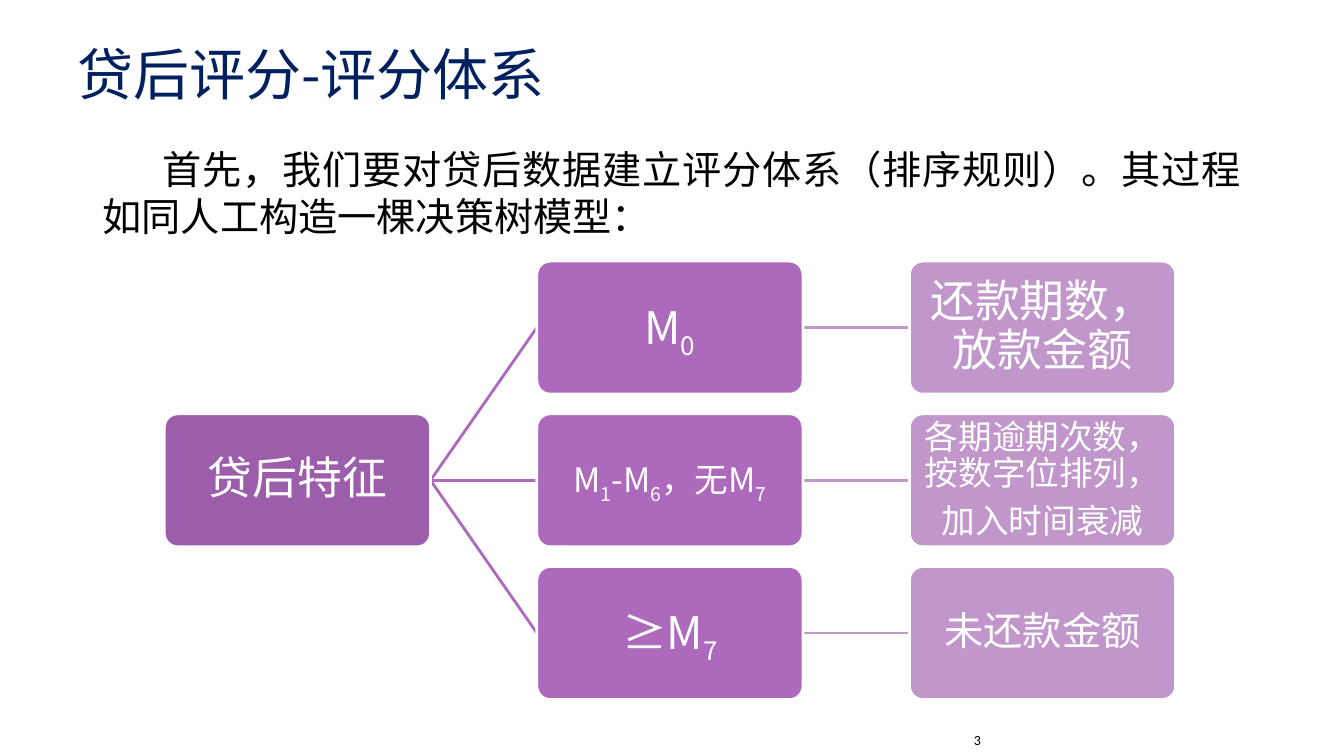
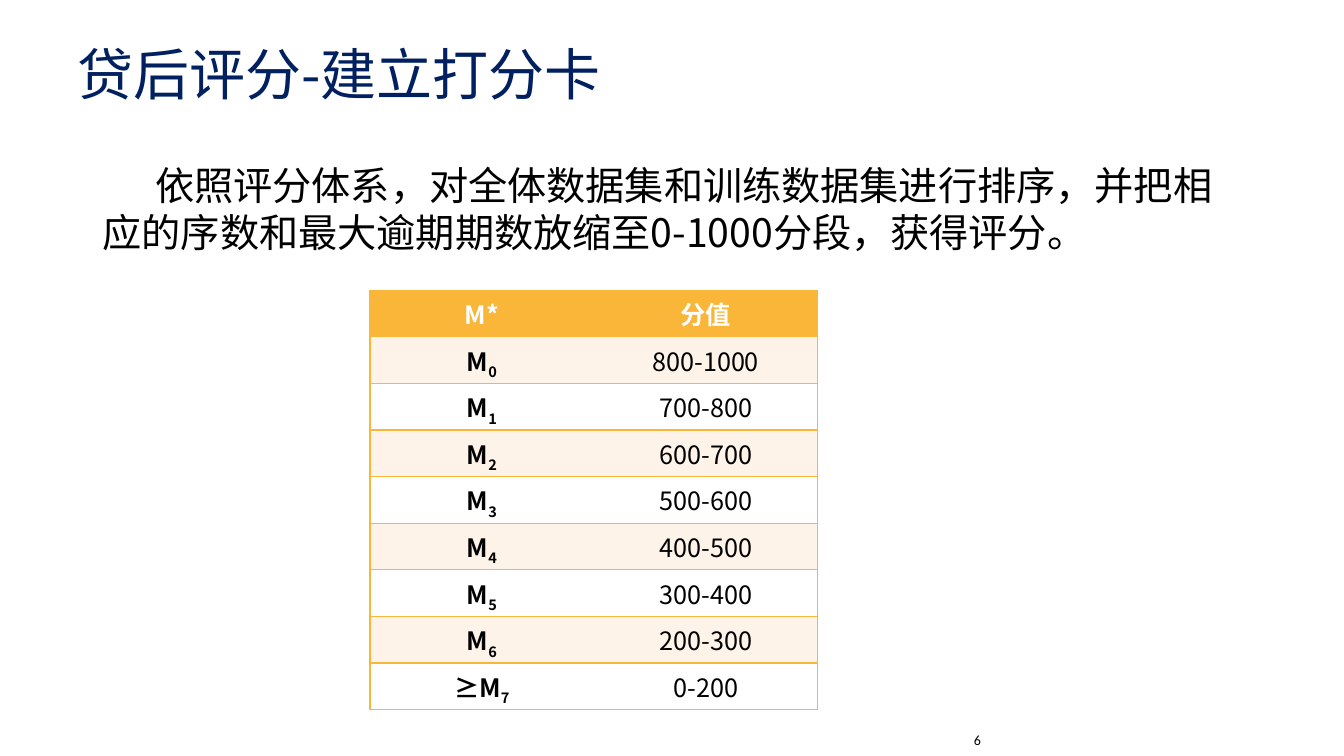
from pptx import Presentation, oxml
from pptx import util as u
from pptx.dml.color import RGBColor
from pptx.enum import shapes, text
from pptx.oxml.ns import qn

NAVY = RGBColor(0x00, 0x20, 0x60)
BLACK = RGBColor(0x00, 0x00, 0x00)
WHITE = RGBColor(0xFF, 0xFF, 0xFF)
ROOT_PURPLE = RGBColor(0x9C, 0x5D, 0xAA)
BRANCH_PURPLE = RGBColor(0xAD, 0x69, 0xBC)
LEAF_PURPLE = RGBColor(0xC0, 0x96, 0xCB)
AMBER = RGBColor(0xF9, 0xB6, 0x39)
CREAM = RGBColor(0xFE, 0xF3, 0xE8)
TITLE_FONT = "Noto Sans CJK SC"
BODY_FONT = "Noto Sans CJK JP"
NUMBER_FONT = "Calibri"

BOX_WIDTH, BOX_HEIGHT = 2.64, 1.32
COLUMN_STEP, ROW_STEP = 3.695, 1.515

# Each branch: label, size, leaf paragraphs, size; "_" lowers the next character
BRANCHES = [
    ("M_0", 32, ["还款期数，放款金额"], 32),
    ("M_1-M_6，无M_7", 24, ["各期逾期次数，按数字位排列，", "加入时间衰减"], 24),
    ("≥M_7", 32, ["未还款金额"], 28),
]
SCORES = [
    ("M*", "分值"),
    ("M_0", "800-1000"),
    ("M_1", "700-800"),
    ("M_2", "600-700"),
    ("M_3", "500-600"),
    ("M_4", "400-500"),
    ("M_5", "300-400"),
    ("M_6", "200-300"),
    ("≥M_7", "0-200"),
]


def format_run(span, size, color, font, bold=False):
    span.font.size = u.Pt(size)
    span.font.color.rgb = color
    span.font.bold = bold
    span.font.name = font
    east_asian = oxml.parse_xml(
        '<a:ea xmlns:a="http://schemas.openxmlformats.org/drawingml/2006/main"/>')
    east_asian.set("typeface", font)
    span._r.get_or_add_rPr().append(east_asian)


def write(para, words, size, color, font=BODY_FONT, bold=False):
    """Fill a paragraph, lowering each character that follows "_"."""
    first, *others = words.split("_")
    pieces = [(first, False)]
    for part in others:
        pieces += [(part[0], True), (part[1:], False)]
    for piece, lowered in pieces:
        if piece:
            span = para.add_run()
            span.text = piece
            format_run(span, size, color, font, bold)
            if lowered:
                span._r.get_or_add_rPr().set("baseline", "-25000")


def add_text(page, left, top, width, height, words, size, font=BODY_FONT):
    box = page.shapes.add_textbox(*map(u.Inches, (left, top, width, height)))
    box.text_frame.word_wrap = True
    para = box.text_frame.paragraphs[0]
    write(para, words, size, BLACK, font)
    return para


def add_page(deck, title, number):
    page = deck.slides.add_slide(deck.slide_layouts[5])
    box = page.shapes.title
    box.left, box.top, box.width, box.height = map(u.Inches, (0.67, 0.3, 9.25, 0.85))
    frame = box.text_frame
    frame.text = title
    frame.auto_size = text.MSO_AUTO_SIZE.NONE
    frame.vertical_anchor = text.MSO_ANCHOR.MIDDLE
    para = frame.paragraphs[0]
    para.alignment = text.PP_ALIGN.LEFT
    format_run(para.runs[0], 40, NAVY, TITLE_FONT)
    add_text(page, 9.56, 7.21, 3.11, 0.21, number, 10, NUMBER_FONT)
    return page


def add_intro(page, top, words, indent, alignment):
    para = add_text(page, 0.92, top, 11.5, 1.04, words, 28)
    para.alignment = alignment
    para._p.get_or_add_pPr().set("indent", str(u.Inches(indent)))


def add_node(page, left, top, lines, size, fill):
    node = page.shapes.add_shape(
        shapes.MSO_SHAPE.ROUNDED_RECTANGLE,
        *map(u.Inches, (left, top, BOX_WIDTH, BOX_HEIGHT)))
    node.adjustments[0] = 0.1
    node.shadow.inherit = False
    node.fill.solid()
    node.fill.fore_color.rgb = fill
    node.line.color.rgb = WHITE
    node.line.width = u.Pt(2)
    frame = node.text_frame
    frame.word_wrap = True
    frame.vertical_anchor = text.MSO_ANCHOR.MIDDLE
    frame.margin_left = frame.margin_right = u.Inches(0.06)
    frame.margin_top = frame.margin_bottom = u.Inches(0.06)
    for index, words in enumerate(lines):
        para = frame.add_paragraph() if index else frame.paragraphs[0]
        para.alignment = text.PP_ALIGN.CENTER
        para.line_spacing = 0.9
        para.space_after = u.Pt(round(size * 0.35, 1))
        write(para, words, size, WHITE)
    return node


def link(page, start, end, color):
    line = page.shapes.add_connector(shapes.MSO_CONNECTOR.STRAIGHT, 0, 0, 0, 0)
    line.begin_connect(start, 3)
    line.end_connect(end, 1)
    line.line.color.rgb = color
    line.line.width = u.Pt(2)
    properties = line._element.spPr
    properties.append(properties.makeelement(qn("a:effectLst"), {}))
    # Lines lie behind the nodes they join
    start._element.addprevious(line._element)


def add_tree(page, left, top):
    root = add_node(page, left, top + ROW_STEP, ["贷后特征"], 32, ROOT_PURPLE)
    for row, (label, label_size, lines, leaf_size) in enumerate(BRANCHES):
        row_top = top + row * ROW_STEP
        branch = add_node(page, left + COLUMN_STEP, row_top,
                          [label], label_size, BRANCH_PURPLE)
        leaf = add_node(page, left + 2 * COLUMN_STEP, row_top,
                        lines, leaf_size, LEAF_PURPLE)
        link(page, root, branch, BRANCH_PURPLE)
        link(page, branch, leaf, LEAF_PURPLE)


def set_border(cell, side, color=None):
    properties = cell._tc.get_or_add_tcPr()
    edge = properties.makeelement(qn("a:" + side), {"w": str(u.Pt(1))})
    if color is None:
        edge.append(edge.makeelement(qn("a:noFill"), {}))
    else:
        fill = edge.makeelement(qn("a:solidFill"), {})
        fill.append(fill.makeelement(qn("a:srgbClr"), {"val": str(color)}))
        edge.append(fill)
    properties.append(edge)


def add_score_table(page, left, top, width, height):
    table = page.shapes.add_table(
        len(SCORES), 2, *map(u.Inches, (left, top, width, height))).table
    table.first_row = table.horz_banding = False
    for row, values in enumerate(SCORES):
        for column, words in enumerate(values):
            cell = table.cell(row, column)
            # Borders come before the fill in the cell's properties
            set_border(cell, "lnL", None if column else AMBER)
            set_border(cell, "lnR", AMBER if column else None)
            set_border(cell, "lnT", AMBER)
            set_border(cell, "lnB", AMBER)
            cell.fill.solid()
            cell.fill.fore_color.rgb = (
                AMBER if row == 0 else CREAM if row % 2 else WHITE)
            para = cell.text_frame.paragraphs[0]
            para.alignment = text.PP_ALIGN.CENTER
            write(para, words, 18, BLACK if row else WHITE,
                  bold=row == 0 or column == 0)


def build_system_page(deck):
    page = add_page(deck, "贷后评分-评分体系", "3")
    add_intro(page, 1.39,
              "首先，我们要对贷后数据建立评分体系（排序规则）。其过程如同人工构造一棵决策树模型：",
              0.59, text.PP_ALIGN.JUSTIFY)
    add_tree(page, 1.63, 2.59)


def build_scorecard_page(deck):
    page = add_page(deck, "贷后评分-建立打分卡", "6")
    add_intro(page, 1.55,
              "依照评分体系，对全体数据集和训练数据集进行排序，并把相应的序数和最大逾期期数放缩至0-1000分段，获得评分。",
              0.52, text.PP_ALIGN.LEFT)
    add_score_table(page, 3.67, 2.88, 4.44, 4.16)


def main():
    deck = Presentation()
    deck.slide_width, deck.slide_height = u.Inches(13.33), u.Inches(7.5)
    build_system_page(deck)
    build_scorecard_page(deck)
    deck.save("out.pptx")


if __name__ == "__main__":
    main()
